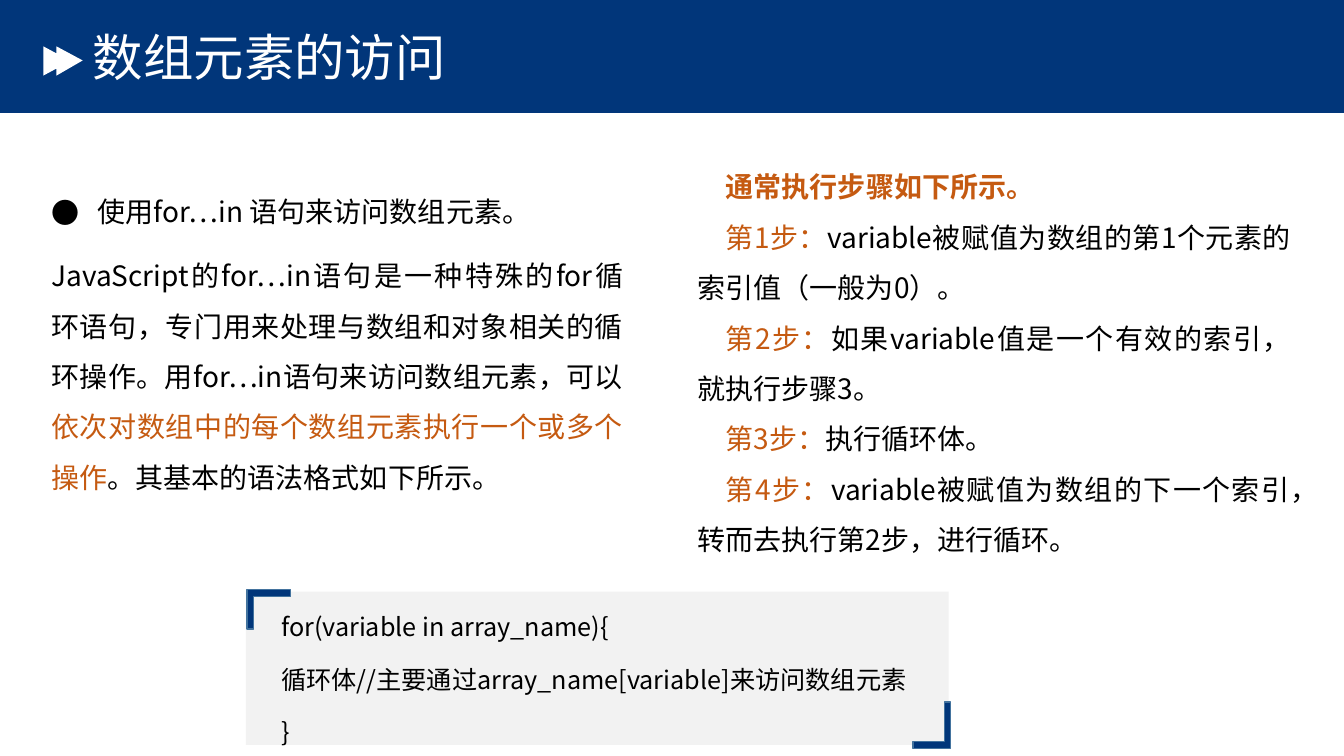
from dataclasses import dataclass

from pptx import Presentation
from pptx.dml.color import RGBColor
from pptx.enum.shapes import MSO_SHAPE as Preset
from pptx.enum.text import MSO_ANCHOR as Anchor, MSO_AUTO_SIZE as AutoSize, PP_ALIGN as Align
from pptx.oxml.ns import qn
from pptx.util import Pt
from lxml.etree import SubElement

PX = 9144
FONT = "Noto Sans CJK SC"
NAVY = RGBColor(0x01, 0x36, 0x7A)
EDGE = RGBColor(0x43, 0x73, 0x9E)
GREY = RGBColor(0xF2, 0xF2, 0xF2)
WHITE = RGBColor(0xFF, 0xFF, 0xFF)
BLACK = RGBColor(0, 0, 0)
ORANGE = RGBColor(0xC5, 0x5A, 0x11)
LINE_HEIGHT = 1.8


@dataclass(frozen=True)
class Box:
    left: int
    top: int
    width: int
    height: int

    def emu(self) -> tuple[int, ...]:
        return tuple(side * PX for side in (self.left, self.top, self.width, self.height))


@dataclass(frozen=True)
class Span:
    text: str
    color: RGBColor = BLACK
    bold: bool = False


@dataclass(frozen=True)
class ParagraphStyle:
    size: int
    align: Align = Align.JUSTIFY
    margin: int = 0
    indent: int = 0
    before: float = 0
    after: float = 0
    bullet: str = ""
    line_spacing: float | None = None


@dataclass(frozen=True)
class Corner:
    box: Box
    rotation: int


TITLE_STYLE = ParagraphStyle(36, Align.LEFT, line_spacing=0.9)
BULLET_STYLE = ParagraphStyle(20, margin=46, indent=-46, before=10, bullet="●")
BODY_STYLE = ParagraphStyle(20, before=10)
STEP_STYLE = ParagraphStyle(20, indent=28)
CODE_STYLE = ParagraphStyle(18, Align.LEFT, indent=25, before=2.4, after=2.4)

TITLE = [(TITLE_STYLE, [Span("数组元素的访问", WHITE)])]
BODY = [
    (BULLET_STYLE, [Span("使用for…in 语句来访问数组元素。")]),
    (BODY_STYLE, [
        Span("JavaScript的for…in语句是一种特殊的for循环语句，专门用来处理与数组和对象相关的"
             "循环操作。用for…in语句来访问数组元素，可以"),
        Span("依次对数组中的每个数组元素执行一个或多个操作", ORANGE),
        Span("。其基本的语法格式如下所示。"),
    ]),
]
STEPS = [
    "variable被赋值为数组的第1个元素的索引值（一般为0）。",
    "如果variable值是一个有效的索引，就执行步骤3。",
    "执行循环体。",
    "variable被赋值为数组的下一个索引，转而去执行第2步，进行循环。",
]
STEP_TEXT = [(STEP_STYLE, [Span("通常执行步骤如下所示。", ORANGE, True)])] + [
    (STEP_STYLE, [Span(f"第{number}步：", ORANGE), Span(step)])
    for number, step in enumerate(STEPS, 1)
]
CODE = [
    (CODE_STYLE, [Span(line)])
    for line in (
        "for(variable in array_name){",
        "循环体//主要通过array_name[variable]来访问数组元素",
        "}",
    )
]
CORNERS = [Corner(Box(247, 583, 39, 43), 90), Corner(Box(901, 701, 46, 37), 270)]
ARROW = [(43, 46), (56, 53), (56, 46), (82, 60), (56, 75), (56, 68), (43, 75)]


def format_paragraph(paragraph, style: ParagraphStyle) -> None:
    paragraph.alignment = style.align
    paragraph.line_spacing = style.line_spacing or Pt(style.size * LINE_HEIGHT)
    paragraph.space_before = Pt(style.before)
    paragraph.space_after = Pt(style.after)
    properties = paragraph._p.get_or_add_pPr()
    properties.set("marL", str(style.margin * PX))
    properties.set("indent", str(style.indent * PX))
    if style.bullet:
        SubElement(properties, qn("a:buFont"), typeface=FONT)
        SubElement(properties, qn("a:buChar"), char=style.bullet)
    else:
        SubElement(properties, qn("a:buNone"))


def add_span(paragraph, span: Span, size: int) -> None:
    run = paragraph.add_run()
    run.text = span.text
    run.font.name = FONT
    run.font.size = Pt(size)
    run.font.bold = span.bold
    run.font.color.rgb = span.color
    SubElement(run._r.get_or_add_rPr(), qn("a:ea"), typeface=FONT)


def write_text(shape, content: list, anchor: Anchor = Anchor.TOP) -> None:
    frame = shape.text_frame
    frame.word_wrap = True
    frame.auto_size = AutoSize.NONE
    frame.vertical_anchor = anchor
    for index, (style, spans) in enumerate(content):
        paragraph = frame.add_paragraph() if index else frame.paragraphs[0]
        format_paragraph(paragraph, style)
        for span in spans:
            add_span(paragraph, span, style.size)


def paint(shape, color: RGBColor) -> None:
    shape.shadow.inherit = False
    shape.fill.solid()
    shape.fill.fore_color.rgb = color
    shape.line.fill.background()


def add_block(slide, preset: Preset, box: Box, color: RGBColor):
    shape = slide.shapes.add_shape(preset, *box.emu())
    paint(shape, color)
    return shape


def add_arrow(slide) -> None:
    builder = slide.shapes.build_freeform(*ARROW[0], scale=PX)
    builder.add_line_segments(ARROW[1:], close=True)
    paint(builder.convert_to_shape(), WHITE)


def add_corner(slide, corner: Corner) -> None:
    shape = add_block(slide, Preset.CORNER, corner.box, NAVY)
    shape.rotation = corner.rotation
    shape.adjustments[0] = 0.161
    shape.adjustments[1] = 0.179
    shape.line.color.rgb = EDGE
    shape.line.width = Pt(1)


def place_placeholder(shape, box: Box) -> None:
    shape.left, shape.top, shape.width, shape.height = box.emu()
    shape.element.getparent().append(shape.element)


def main() -> None:
    presentation = Presentation()
    presentation.slide_width = 1333 * PX
    presentation.slide_height = 750 * PX
    slide = presentation.slides.add_slide(presentation.slide_layouts[1])
    title, body = slide.shapes.title, slide.placeholders[1]

    add_block(slide, Preset.RECTANGLE, Box(0, 0, 1333, 112), NAVY)
    add_arrow(slide)
    place_placeholder(body, Box(41, 171, 587, 514))
    write_text(body, BODY)
    place_placeholder(title, Box(82, 27, 808, 65))
    write_text(title, TITLE, Anchor.MIDDLE)

    code = add_block(slide, Preset.RECTANGLE, Box(244, 587, 697, 152), GREY)
    write_text(code, CODE)
    for corner in CORNERS:
        add_corner(slide, corner)
    steps = slide.shapes.add_textbox(*Box(682, 147, 608, 408).emu())
    write_text(steps, STEP_TEXT)

    presentation.save("out.pptx")


if __name__ == "__main__":
    main()
